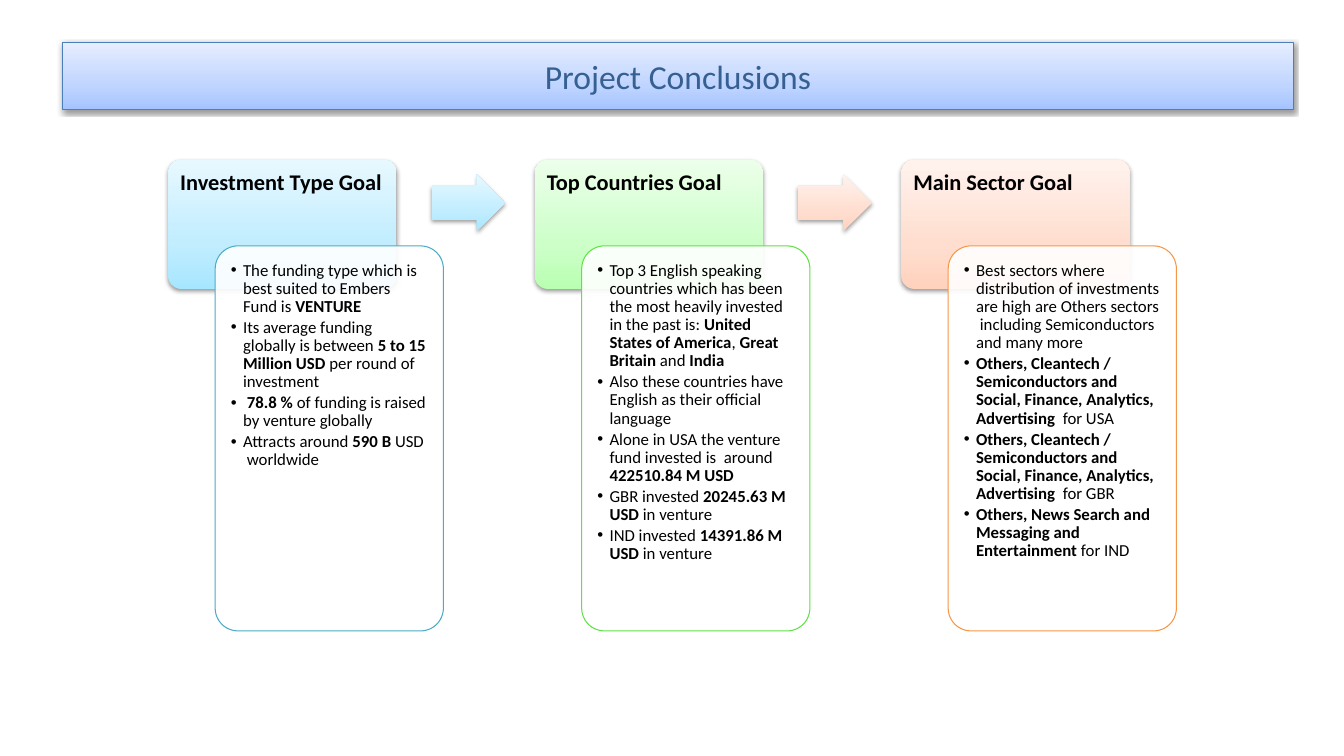
from copy import deepcopy
from dataclasses import dataclass

from lxml import etree
from pptx import Presentation
from pptx import util as u
from pptx.dml.color import RGBColor
from pptx.enum import shapes, text
from pptx.oxml import ns, parse_xml


@dataclass(frozen=True)
class Theme:
    font: str = "Calibri"
    title_size: int = 24
    head_size: int = 16
    body_size: int = 12
    title: str = "376092"
    ink: str = "000000"
    paper: str = "FFFFFF"
    title_line: str = "4B7EBC"
    # gradient stops, bottom to top
    banner: tuple = ("A4C4FF", "BFD4FF", "E6EEFF")
    blue: tuple = ("A7E6FF", "C1EDFF", "E7F8FF")
    green: tuple = ("B9FFB2", "CDFFC9", "ECFFEA")
    peach: tuple = ("FFD2BD", "FFDED0", "FFF2ED")
    outlines: tuple = ("4BACC6", "60E146", "F79646")


SHADOW = (f'<a:effectLst {ns.nsdecls("a")}><a:outerShdw blurRad="40000" dist="20000" '
          'dir="5400000" rotWithShape="0"><a:srgbClr val="000000"><a:alpha val="38000"/>'
          '</a:srgbClr></a:outerShdw></a:effectLst>')


def assign(obj, values):
    for name, value in values.items():
        setattr(obj, name, value)


class Deck:
    """Holds the theme and current slide; lengths are percent of the slide's size."""

    def __init__(self, theme):
        self.t = theme
        self.prs = Presentation()
        assign(self.prs, {"slide_width": u.Inches(13.33), "slide_height": u.Inches(7.5)})
        self.s = self.prs.slides.add_slide(self.prs.slide_layouts[6])

    def shape(self, kind, x, y, w, h, adjust=(), line=None):
        W, H = self.prs.slide_width, self.prs.slide_height
        box = [round(v * side / 100) for v, side in zip((x, y, w, h), (W, H, W, H))]
        sp = self.s.shapes.add_shape(kind, *box)
        sp.shadow.inherit = False
        for i, value in enumerate(adjust):
            sp.adjustments[i] = value
        if line:
            sp.line.color.rgb = RGBColor.from_string(line)
            sp.line.width = u.Pt(0.75)
        else:
            sp.line.fill.background()
        return sp

    def glossy(self, kind, *box, colors, **options):
        """A shape with a three-stop gradient and a soft shadow."""
        sp = self.shape(kind, *box, **options)
        sp.fill.gradient()
        sp.fill.gradient_angle = 90
        spPr = sp._element.spPr
        stops = spPr.find(f'.//{ns.qn("a:gsLst")}')
        stops.append(deepcopy(stops[0]))
        for stop, color, pos in zip(sp.fill.gradient_stops, colors, (0, 0.35, 1)):
            stop.color.rgb = RGBColor.from_string(color)
            stop.position = pos
        spPr.replace(spPr.find(ns.qn("a:effectLst")), parse_xml(SHADOW))
        return sp

    def panel(self, *box, line):
        """A rounded, slightly see-through box."""
        sp = self.shape(shapes.MSO_SHAPE.ROUNDED_RECTANGLE, *box, adjust=(0.1,), line=line)
        sp.fill.solid()
        sp.fill.fore_color.rgb = RGBColor.from_string(self.t.paper)
        clr = sp._element.spPr.find(f'{ns.qn("a:solidFill")}/{ns.qn("a:srgbClr")}')
        etree.SubElement(clr, ns.qn("a:alpha"), val="90000")
        return sp

    def label(self, sp, lines, size, color=None, inset=0.09, bullets=False,
              anchor=text.MSO_ANCHOR.TOP, align=text.PP_ALIGN.LEFT, spacing=0.9):
        """Fill a shape with paragraphs; **marks** enclose bold words."""
        tf = sp.text_frame
        sides = ("left", "top", "right", "bottom")
        assign(tf, {f"margin_{side}": u.Inches(inset) for side in sides})
        assign(tf, {"word_wrap": True, "vertical_anchor": anchor})
        for i, line in enumerate(lines):
            p = tf.add_paragraph() if i else tf.paragraphs[0]
            assign(p, {"alignment": align, "line_spacing": spacing,
                       "space_after": u.Pt(2 if bullets else 0)})
            if bullets:
                pPr = p._p.get_or_add_pPr()
                pPr.set("marL", str(u.Inches(0.12)))
                pPr.set("indent", str(u.Inches(-0.12)))
                etree.SubElement(pPr, ns.qn("a:buFont"), typeface="Arial")
                etree.SubElement(pPr, ns.qn("a:buChar"), char="•")
            for n, part in enumerate(line.split("**")):
                if part:
                    r = p.add_run()
                    r.text = part
                    assign(r.font, {"name": self.t.font, "size": u.Pt(size), "bold": n % 2 == 1})
                    r.font.color.rgb = RGBColor.from_string(color or self.t.ink)


SECTORS = ("**Others, Cleantech / Semiconductors and Social, Finance, Analytics, "
           "Advertising  **for ")
GOALS = [
    ("Investment Type Goal", [
        "The funding type which is best suited to Embers Fund is **VENTURE**",
        "Its average funding globally is between **5 to 15 Million USD **per round of investment",
        " **78.8 % **of funding is raised by venture globally",
        "Attracts around **590 B **USD  worldwide"]),
    ("Top Countries Goal", [
        "Top 3 English speaking countries which has been  the most heavily invested in the "
        "past is: **United States of America**, **Great Britain **and **India**",
        "Also these countries have English as their official language",
        "Alone in USA the venture fund invested is  around  **422510.84 M USD**",
        "GBR invested **20245.63 M USD **in venture",
        "IND invested **14391.86 M USD **in venture"]),
    ("Main Sector Goal", [
        "Best sectors where  distribution of investments are high are Others sectors  "
        "including Semiconductors and many more",
        SECTORS + "USA",
        SECTORS + "GBR",
        "**Others, News Search and Messaging and Entertainment **for IND"]),
]

LEFT, PITCH, WIDTH = 12.53, 27.27, 16.98


def main():
    t = Theme()
    deck = Deck(t)
    kinds = shapes.MSO_SHAPE

    # Title banner
    banner = deck.glossy(kinds.RECTANGLE, 4.65, 5.6, 91.6, 8.93,
                         colors=t.banner, line=t.title_line)
    deck.label(banner, ["Project Conclusions"], t.title_size, t.title, spacing=1,
               anchor=text.MSO_ANCHOR.MIDDLE, align=text.PP_ALIGN.CENTER)

    # Goal cards with their detail panels
    fills = (t.blue, t.green, t.peach)
    for i, (head, points) in enumerate(GOALS):
        x = LEFT + i * PITCH
        card = deck.glossy(kinds.ROUNDED_RECTANGLE, x, 21.13, WIDTH, 17.1,
                           colors=fills[i], adjust=(0.1,))
        deck.label(card, [f"**{head}**"], t.head_size, inset=0.08)
        panel = deck.panel(x + 3.48, 32.53, WIDTH, 50.93, line=t.outlines[i])
        deck.label(panel, points, t.body_size, bullets=True)

    # Arrows between the cards
    for i, colors in enumerate((t.blue, t.peach)):
        deck.glossy(kinds.RIGHT_ARROW, LEFT + i * PITCH + 19.58, 23.07, 5.48, 7.5,
                    colors=colors, adjust=(0.6, 0.5))

    deck.prs.save("out.pptx")


if __name__ == "__main__":
    main()
